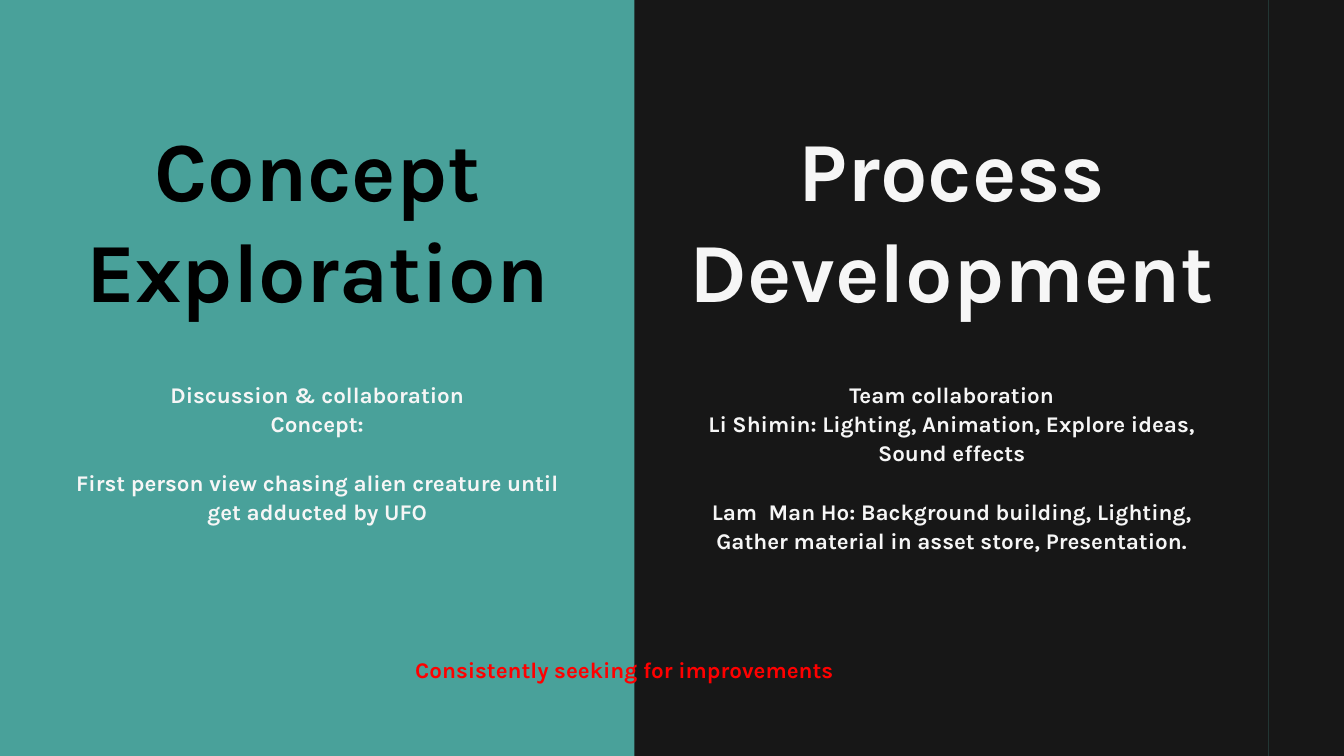
from pptx import Presentation
from pptx.dml.color import RGBColor as Rgb
from pptx.enum.shapes import MSO_SHAPE as Shape
from pptx.enum.text import MSO_AUTO_SIZE as Fit, PP_ALIGN as Align
from pptx.util import Inches, Pt

INK = {"teal": "49A19A", "dark": "171717", "black": "000000",
       "light": "F6F6F6", "red": "FF0000"}
HALF = 47.2
SIDES = [
    ("Concept Exploration", "black", 18.93,
     ["Discussion & collaboration", "Concept:",
      "First person view chasing alien creature until get adducted by UFO"]),
    ("Process Development", "light", 26.67,
     ["Team collaboration",
      "Li Shimin: Lighting, Animation, Explore ideas, Sound effects",
      "Lam  Man Ho: Background building, Lighting, "
      "Gather material in asset store, Presentation."]),
]


class Deck:
    font = "Karla"
    grid = 100

    def __init__(self, wide, high):
        self.show = Presentation()
        self.show.slide_width = Inches(wide)
        self.show.slide_height = Inches(high)
        self.slide = self.show.slides.add_slide(self.show.slide_layouts[6])

    def back(self, ink):
        fill = self.slide.background.fill
        fill.solid()
        fill.fore_color.rgb = Rgb.from_string(INK[ink])

    def area(self, col, row, cols, rows):
        wide = self.show.slide_width / self.grid
        high = self.show.slide_height / self.grid
        return [round(n) for n in (col * wide, row * high, cols * wide, rows * high)]

    def panel(self, area, ink):
        box = self.slide.shapes.add_shape(Shape.RECTANGLE, *self.area(*area))
        box.shadow.inherit = False
        box.fill.solid()
        box.fill.fore_color.rgb = Rgb.from_string(INK[ink])
        box.line.fill.background()

    def text(self, area, lines, ink, size=24, lead=31.2):
        frame = self.slide.shapes.add_textbox(*self.area(*area)).text_frame
        frame.word_wrap = True
        frame.auto_size = Fit.SHAPE_TO_FIT_TEXT
        frame.margin_left = frame.margin_right = 0
        frame.margin_top = frame.margin_bottom = 0
        frame.text = "\n".join(lines)
        for para in frame.paragraphs:
            para.alignment = Align.CENTER
            para.line_spacing = Pt(lead)
            para.font.name = self.font
            para.font.size = Pt(size)
            para.font.bold = True
            para.font.color.rgb = Rgb.from_string(INK[ink])
        if len(lines) > 1:
            para.space_before = Pt(lead)


def main():
    deck = Deck(20, 11.25)
    deck.back("teal")
    deck.panel((HALF, 0, HALF, 100), "dark")
    deck.panel((2 * HALF, 0, 100 - 2 * HALF, 100), "dark")
    for side, (title, ink, rows, lines) in enumerate(SIDES):
        left = side * HALF
        deck.text((left + 3.75, 15.56, 39.75, 26.84), [title], ink, 90, 108)
        deck.text((left + 4.65, 50.13, 37.9, rows), lines, "light")
    deck.text((27.5, 86.49, 37.9, 3.47),
              ["Consistently seeking for improvements"], "red")
    deck.show.save("out.pptx")


if __name__ == "__main__":
    main()
